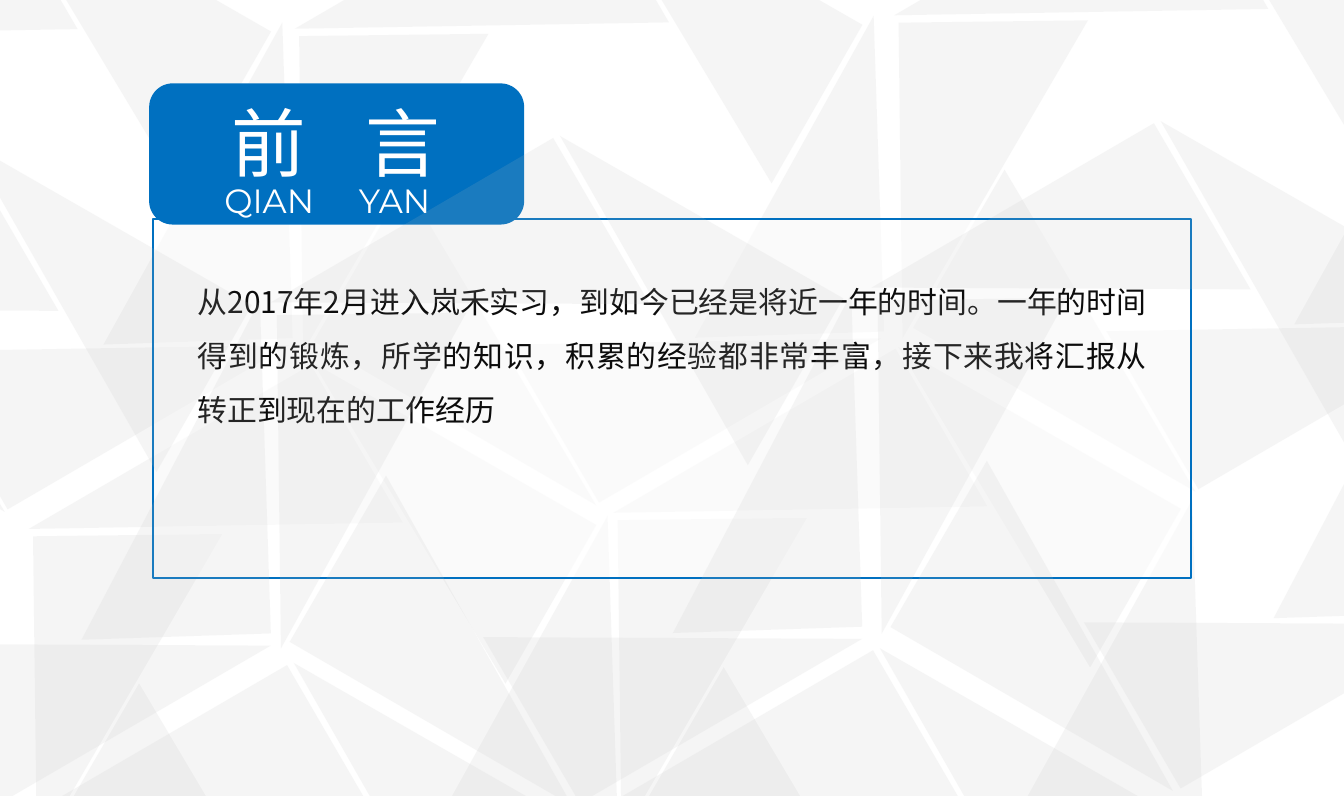
from dataclasses import dataclass
from typing import NamedTuple

from lxml.etree import SubElement
from pptx import Presentation
from pptx.dml.color import RGBColor
from pptx.enum.shapes import MSO_SHAPE as Shape
from pptx.enum.text import MSO_ANCHOR as Anchor, MSO_AUTO_SIZE as AutoSize, PP_ALIGN as Align
from pptx.oxml.ns import qn
from pptx.util import Inches, Pt


@dataclass(frozen=True)
class Theme:
    blue: str = "0070C0"
    white: str = "FFFFFF"
    gray: str = "BFBFBF"
    ink: str = "0C0C0C"
    chinese: str = "Noto Sans CJK SC"
    latin: str = "Montserrat"
    title_size: float = 40
    pinyin_size: float = 18
    body_size: float = 16
    petal_alpha: int = 14
    panel_alpha: int = 58


class Box(NamedTuple):
    left: float
    top: float
    width: float
    height: float


class Petal(NamedTuple):
    """One triangle of a rosette, placed from the rosette's origin."""
    turn: float
    box: Box


class Rosette(NamedTuple):
    left: float
    top: float
    petals: str  # keys of the petals that reach the slide


THEME = Theme()

# Petals by compass direction: north-west, west, south-west, and so on
BACK_PETALS = {
    "a": Petal(149.8, Box(0, 0, 2.43, 1.36)),
    "b": Petal(89.3, Box(-0.6, 1.22, 2.35, 1.41)),
    "c": Petal(30.1, Box(0.14, 2.37, 2.43, 1.36)),
    "d": Petal(329.8, Box(1.58, 2.35, 2.43, 1.36)),
    "e": Petal(268.1, Box(2.29, 1.1, 2.35, 1.41)),
    "f": Petal(209.8, Box(1.44, -0.02, 2.43, 1.36)),
}
FRONT_PETALS = {
    "a": Petal(149.8, Box(0, 0, 2.43, 1.43)),
    "b": Petal(89.3, Box(-0.67, 1.33, 2.48, 1.41)),
    "c": Petal(30.1, Box(0.14, 2.51, 2.43, 1.43)),
    "d": Petal(329.8, Box(1.58, 2.49, 2.43, 1.43)),
    "e": Petal(268.1, Box(2.22, 1.2, 2.48, 1.41)),
    "f": Petal(209.8, Box(1.44, -0.02, 2.43, 1.43)),
}
BACK_ROSETTES = [
    Rosette(0.39, 3.23, "abcef"),
    Rosette(4.74, 3.11, "abcef"),
    Rosette(2.37, -0.49, "abcdef"),
    Rosette(6.83, -0.59, "abcdef"),
    Rosette(-2.03, -0.44, "acdef"),
]
FRONT_ROSETTES = [
    Rosette(0.23, 5.46, "af"),
    Rosette(4.59, 5.35, "af"),
    Rosette(2.21, 1.54, "abcdef"),
    Rosette(6.68, 1.43, "abcdef"),
    Rosette(-2.19, 1.59, "adef"),
]


def draw_shape(shapes, kind: Shape, box: Box, color: str, alpha: int = 100):
    shape = shapes.add_shape(kind, *map(Inches, box))
    shape.shadow.inherit = False
    shape.fill.solid()
    shape.fill.fore_color.rgb = RGBColor.from_string(color)
    shape.line.fill.background()
    if alpha < 100:
        fill_color = shape.element.spPr.find(qn("a:solidFill"))[0]
        SubElement(fill_color, qn("a:alpha"), val=str(alpha * 1000))
    return shape


def draw_rosettes(slide, rosettes: list[Rosette], petals: dict[str, Petal]) -> None:
    group = slide.shapes.add_group_shape()
    for rosette in rosettes:
        for key in rosette.petals:
            turn, box = petals[key]
            placed = box._replace(left=rosette.left + box.left, top=rosette.top + box.top)
            triangle = draw_shape(group.shapes, Shape.RIGHT_TRIANGLE, placed,
                                  THEME.gray, THEME.petal_alpha)
            triangle.rotation = turn


def write_text(shape, box: Box, text: str, size: float, font: str, color: str,
               align: Align = Align.LEFT, spacing: float = 1.0, tab: float = 0,
               inset: float = 0) -> None:
    shape.left, shape.top, shape.width, shape.height = map(Inches, box)
    frame = shape.text_frame
    frame.word_wrap = True
    frame.auto_size = AutoSize.NONE
    frame.vertical_anchor = Anchor.TOP
    frame.margin_left = frame.margin_right = Inches(inset)
    frame.margin_top = frame.margin_bottom = Inches(inset / 2)
    para = frame.paragraphs[0]
    para.add_run().text = text
    para.alignment = align
    para.line_spacing = spacing
    para.space_before = Pt(0)
    properties = para._p.get_or_add_pPr()
    properties.set("marL", "0")
    properties.set("indent", "0")
    SubElement(properties, qn("a:buNone"))
    if tab:
        tabs = SubElement(properties, qn("a:tabLst"))
        SubElement(tabs, qn("a:tab"), pos=str(Inches(tab)), algn="l")
    para.font.size = Pt(size)
    para.font.bold = False
    para.font.color.rgb = RGBColor.from_string(color)
    para.font.name = font
    SubElement(properties.find(qn("a:defRPr")), qn("a:ea"), typeface=font)


def main() -> None:
    deck = Presentation()
    deck.slide_width, deck.slide_height = Inches(10), Inches(5.92)
    slide = deck.slides.add_slide(deck.slide_layouts[1])
    title, body = slide.placeholders[0], slide.placeholders[1]
    tree = title.element.getparent()

    # Triangles behind the text
    draw_rosettes(slide, BACK_ROSETTES, BACK_PETALS)

    # Framed panel with the introduction
    panel = draw_shape(slide.shapes, Shape.RECTANGLE, Box(1.14, 1.63, 7.72, 2.67),
                       THEME.white, THEME.panel_alpha)
    panel.line.color.rgb = RGBColor.from_string(THEME.blue)
    panel.line.width = Pt(1.25)
    tree.append(body.element)
    write_text(body, Box(1.37, 1.93, 7.27, 1.31),
               "从2017年2月进入岚禾实习，到如今已经是将近一年的时间。"
               "一年的时间得到的锻炼，所学的知识，积累的经验都非常丰富，"
               "接下来我将汇报从转正到现在的工作经历",
               THEME.body_size, THEME.chinese, THEME.ink,
               align=Align.JUSTIFY, spacing=1.5, inset=0.1)

    # Blue tab with the title and its pinyin
    draw_shape(slide.shapes, Shape.ROUNDED_RECTANGLE, Box(1.11, 0.62, 2.79, 1.05), THEME.blue)
    tree.append(title.element)
    write_text(title, Box(1.72, 0.72, 1.8, 0.8), "前\t言",
               THEME.title_size, THEME.chinese, THEME.white, tab=0.87)
    pinyin = slide.shapes.add_textbox(0, 0, 0, 0)
    write_text(pinyin, Box(1.67, 1.34, 1.8, 0.31), "QIAN\tYAN",
               THEME.pinyin_size, THEME.latin, THEME.white, tab=0.85)

    # Triangles over the text
    draw_rosettes(slide, FRONT_ROSETTES, FRONT_PETALS)
    deck.save("out.pptx")


if __name__ == "__main__":
    main()
